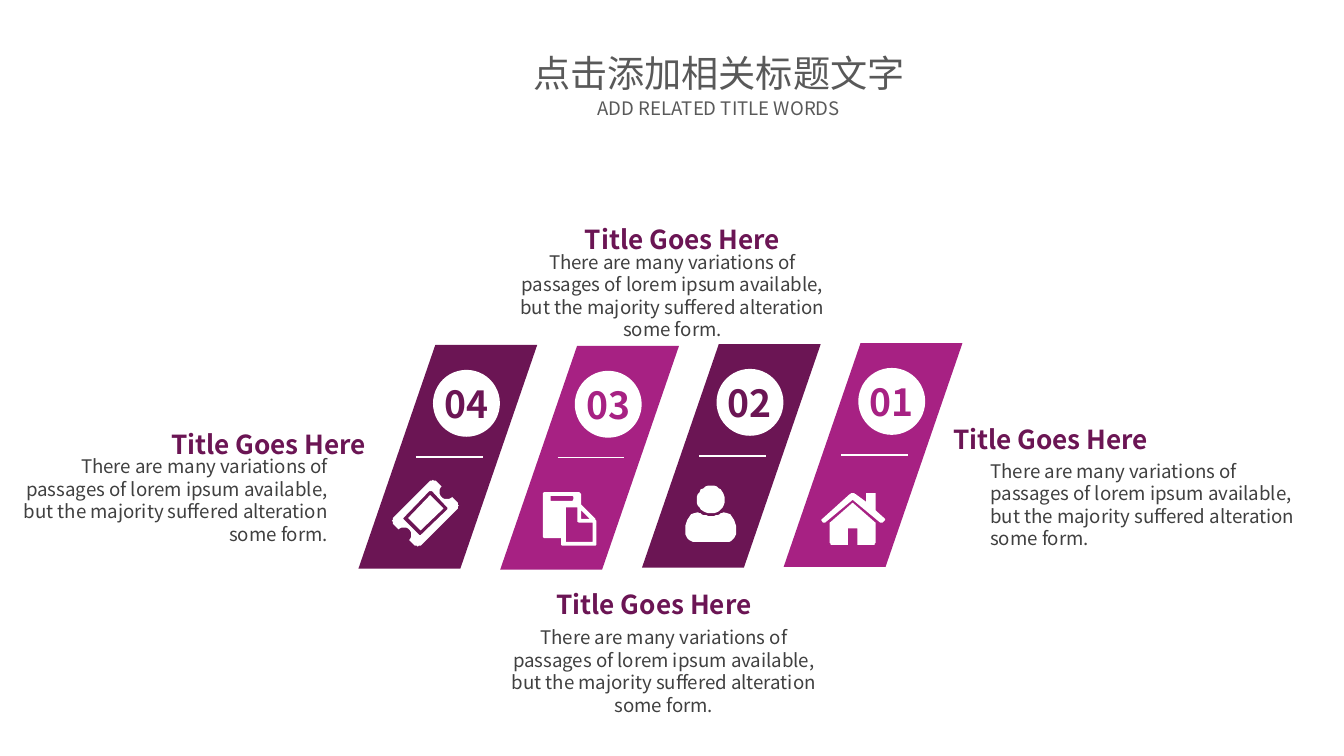
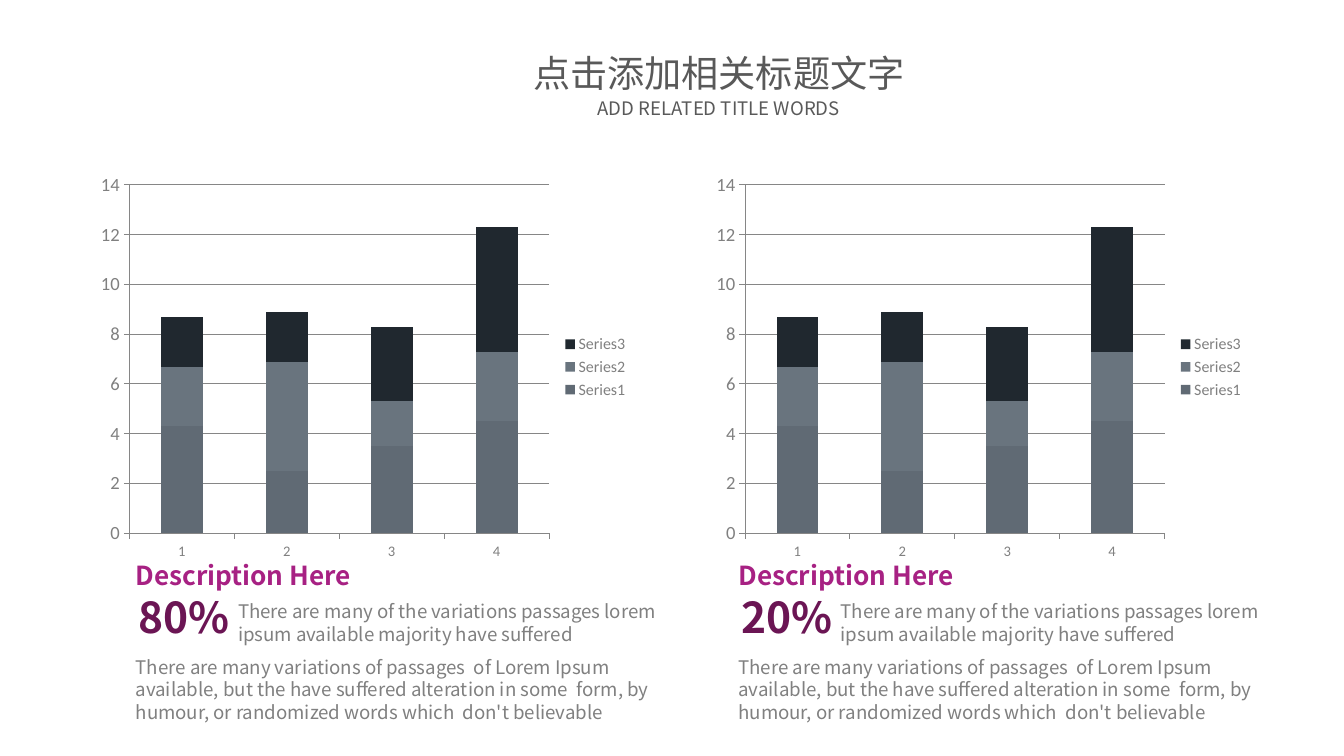
from dataclasses import dataclass

from lxml import etree
from pptx import Presentation
from pptx.chart.data import CategoryChartData
from pptx.dml.color import RGBColor
from pptx.enum.chart import XL_CHART_TYPE, XL_LEGEND_POSITION, XL_TICK_MARK
from pptx.enum.shapes import MSO_CONNECTOR, MSO_SHAPE
from pptx.enum.text import MSO_ANCHOR, PP_ALIGN
from pptx.oxml.ns import qn
from pptx.util import Inches, Pt

LEFT, CENTER, RIGHT = PP_ALIGN.LEFT, PP_ALIGN.CENTER, PP_ALIGN.RIGHT
TOP, MIDDLE = MSO_ANCHOR.TOP, MSO_ANCHOR.MIDDLE
ELLIPSE, SLANTED = MSO_SHAPE.OVAL, MSO_SHAPE.PARALLELOGRAM
STRAIGHT = MSO_CONNECTOR.STRAIGHT
STACKED = XL_CHART_TYPE.COLUMN_STACKED
LEGEND_RIGHT = XL_LEGEND_POSITION.RIGHT
TICK_OUT, TICK_NONE = XL_TICK_MARK.OUTSIDE, XL_TICK_MARK.NONE

CELL = Inches(0.1)
COLS, ROWS = 140.6, 79.1
ICON_UNIT = Inches(0.01)
CURVE_STEPS = 8


@dataclass(frozen=True)
class Theme:
    """Colours, fonts and type sizes of the deck."""
    plum: str = "6B1554"
    magenta: str = "A72183"
    white: str = "FFFFFF"
    heading: str = "595959"
    ink: str = "404040"
    grey: str = "808080"
    rule: str = "868686"
    series: tuple = ("606A74", "69747E", "20282F")
    font: str = "Noto Sans CJK SC"
    chart_font: str = "Calibri"
    title_size: float = 28
    subtitle_size: float = 14
    label_size: float = 19.7
    body_size: float = 14.1
    number_size: float = 28.1
    percent_size: float = 32
    category_size: float = 11
    value_size: float = 14
    legend_size: float = 12
    leading: float = 1.2


T = Theme()

STYLES = {
    "title": dict(size=T.title_size, color=T.heading, align=CENTER),
    "subtitle": dict(size=T.subtitle_size, color=T.heading, align=CENTER),
    "label": dict(size=T.label_size, color=T.plum, bold=True, anchor=MIDDLE),
    "description": dict(size=T.label_size, color=T.magenta, bold=True),
    "body": dict(size=T.body_size, color=T.ink),
    "note": dict(size=T.body_size, color=T.grey),
    "number": dict(size=T.number_size, bold=True, align=CENTER, anchor=MIDDLE),
    "percent": dict(size=T.percent_size, color=T.plum, bold=True),
}

LOREM = ("There are many variations of passages of lorem ipsum available, "
         "but the majority suffered alteration some form.")
LEAD = ("There are many of the variations passages lorem ipsum available "
        "majority have suffered")
DETAIL = ("There are many variations of passages  of Lorem Ipsum available, "
          "but the have suffered alteration in some  form, by humour, or "
          "randomized words which  don't believable")

# Each outline point is (x, y) for a line or six numbers for a cubic curve.
TICKET = (
    ((31, 68), (29, 70, 25, 70, 23, 68), (18, 63), (21, 60, 21, 55, 18, 52),
     (15, 49, 10, 49, 7, 52), (2, 47), (0, 45, 0, 41, 2, 39), (39, 2),
     (42, 0, 45, 0, 47, 2), (52, 7), (49, 10, 49, 15, 52, 18),
     (55, 21, 60, 21, 63, 18), (68, 23), (70, 25, 70, 29, 68, 31)),
    ((57, 32), (58, 31, 58, 29, 57, 28), (43, 13), (42, 12, 39, 12, 38, 13),
     (13, 39), (12, 40, 12, 41, 13, 42), (28, 57), (29, 58, 30, 58, 31, 57)),
    ((54, 30), (30, 53), (17, 40), (40, 16)),
)
CLIPBOARD = (
    ((56, 53), (56, 56, 55, 56, 53, 56), (22, 56), (20, 56, 19, 56, 19, 53),
     (19, 48), (3, 48), (0, 48, 0, 47, 0, 45), (0, 3), (0, 1, 0, 0, 3, 0),
     (36, 0), (38, 0, 40, 1, 40, 3), (40, 13), (54, 27),
     (55, 28, 56, 30, 56, 32)),
    ((32, 5), (31, 4), (8, 4), (8, 9), (31, 9), (32, 7)),
    ((52, 52), (52, 32), (39, 32), (37, 32, 36, 31, 36, 30), (36, 16),
     (24, 16), (24, 52)),
    ((49, 28), (40, 19), (40, 28)),
)
PERSON = (
    ((44, 59), (10, 59), (4, 59, 0, 55, 0, 49), (0, 41, 2, 28, 13, 28),
     (14, 28, 19, 32, 27, 32), (34, 32, 39, 28, 40, 28),
     (51, 28, 53, 41, 53, 49), (53, 55, 49, 59, 44, 59)),
    ((27, 29), (19, 29, 12, 23, 12, 15), (12, 7, 19, 0, 27, 0),
     (35, 0, 41, 7, 41, 15), (41, 23, 35, 29, 27, 29)),
)
HOUSE = (
    ((64, 31), (62, 31), (33, 7), (4, 31), (2, 31), (0, 28), (30, 1),
     (31, 0, 35, 0, 36, 1), (47, 9), (47, 0), (57, 0), (57, 18), (67, 27),
     (67, 28)),
    ((57, 51), (57, 52, 56, 54, 55, 54), (38, 54), (38, 37), (28, 37),
     (28, 54), (11, 54), (10, 54, 9, 52, 9, 51), (9, 31), (33, 10), (57, 31)),
)


def flatten(outline):
    """Return the outline as straight points, with its curves sampled."""
    points = [outline[0]]
    for step in outline[1:]:
        if len(step) == 2:
            points.append(step)
            continue
        p0, p1, p2, p3 = points[-1], step[:2], step[2:4], step[4:]
        for i in range(1, CURVE_STEPS + 1):
            t = i / CURVE_STEPS
            u = 1 - t
            points.append(tuple(
                u**3 * a + 3 * u * u * t * b + 3 * u * t * t * c + t**3 * d
                for a, b, c, d in zip(p0, p1, p2, p3)))
    return points


def grid(*lengths):
    """Convert lengths in grid cells to slide units."""
    return [round(n * CELL) for n in lengths]


def assign(target, values):
    """Set every attribute named in values on the target."""
    for name, value in values.items():
        setattr(target, name, value)


class Deck:
    """Builds slides in one style and keeps the current slide."""

    def __init__(self):
        """Start an empty presentation of the grid's size."""
        self.prs = Presentation()
        self.prs.slide_width, self.prs.slide_height = grid(COLS, ROWS)
        self.slide = None

    def new_slide(self, title, subtitle):
        """Add a slide with the shared title and subtitle."""
        self.slide = self.prs.slides.add_slide(self.prs.slide_layouts[5])
        sp = self.slide.shapes.title
        frame = dict(zip(("left", "top", "width", "height"),
                         grid(54.5, 4.8, 41.4, 5.8)))
        assign(sp, frame)
        self.set_text(sp, title, "title", inset=(1.1, 0.5))
        self.text((60.1, 9.7, 30.2, 3.4), subtitle, "subtitle", inset=(1.1, 0.5))

    def set_text(self, sp, text, style, inset=(0, 0), **changes):
        """Fill a shape with one paragraph in a named style."""
        look = {**STYLES[style], **changes}
        x, y = grid(*inset)
        tf = sp.text_frame
        assign(tf, dict(word_wrap=True, margin_left=x, margin_right=x,
                        margin_top=y, margin_bottom=y,
                        vertical_anchor=look.get("anchor", TOP)))
        p = tf.paragraphs[0]
        assign(p, dict(alignment=look.get("align", LEFT), space_before=Pt(0),
                       line_spacing=Pt(look["size"] * T.leading)))
        r = p.add_run()
        r.text = text
        self.font(r.font, look["size"], look["color"], T.font,
                  look.get("bold", False))
        etree.SubElement(r.font._element, qn("a:ea"), typeface=T.font)

    def font(self, font, size, color, name, bold=False):
        """Format a font object."""
        assign(font, dict(size=Pt(size), bold=bold, name=name))
        font.color.rgb = RGBColor.from_string(color)

    def text(self, box, text, style, **changes):
        """Add a text box."""
        self.set_text(self.slide.shapes.add_textbox(*grid(*box)), text, style,
                      **changes)

    def paint(self, sp, color):
        """Give a shape a plain fill without outline or shadow."""
        sp.shadow.inherit = False
        sp.fill.solid()
        sp.fill.fore_color.rgb = RGBColor.from_string(color)
        sp.line.fill.background()

    def shape(self, kind, box, color):
        """Add a preset shape."""
        sp = self.slide.shapes.add_shape(kind, *grid(*box))
        self.paint(sp, color)
        return sp

    def rule(self, x, y, width):
        """Add a thin white horizontal line."""
        cx = self.slide.shapes.add_connector(STRAIGHT, *grid(x, y, x + width, y))
        cx.line.width = Pt(1)
        cx.line.color.rgb = RGBColor.from_string(T.white)
        etree.SubElement(cx._element.spPr, qn("a:effectLst"))

    def icon(self, x, y, outlines):
        """Add a white icon made of several outlines."""
        first, *others = [flatten(outline) for outline in outlines]
        fb = self.slide.shapes.build_freeform(*first[0], scale=ICON_UNIT)
        fb.add_line_segments(first[1:], close=True)
        for points in others:
            fb.move_to(*points[0])
            fb.add_line_segments(points[1:], close=True)
        self.paint(fb.convert_to_shape(*grid(x, y)), T.white)

    def panel(self, x, y, number, color, icon, icon_at):
        """Add a slanted panel with its number, rule and icon."""
        sp = self.shape(SLANTED, (x, y, 18.7, 23.4), color)
        sp.adjustments[0] = 0.43
        self.rule(x + 6, y + 11.7, 7)
        sp = self.shape(ELLIPSE, (x + 7.8, y + 2.6, 7, 7), T.white)
        self.set_text(sp, number, "number", color=color)
        sp.text_frame.word_wrap = False
        self.icon(*icon_at, icon)

    def stacked_chart(self, box, categories, values):
        """Add a stacked column chart with a legend on the right."""
        data = CategoryChartData()
        data.categories = categories
        for i, row in enumerate(values, 1):
            data.add_series(f"Series{i}", row)
        chart = self.slide.shapes.add_chart(STACKED, *grid(*box), data).chart
        assign(chart, dict(has_title=False, has_legend=True))
        assign(chart.legend, dict(position=LEGEND_RIGHT, include_in_layout=False))
        self.font(chart.legend.font, T.legend_size, T.grey, T.chart_font)
        plot = chart.plots[0]
        assign(plot, dict(gap_width=150, overlap=100, vary_by_categories=False))
        for series, color in zip(plot.series, T.series):
            series.format.fill.solid()
            series.format.fill.fore_color.rgb = RGBColor.from_string(color)
        assign(chart.value_axis, dict(minimum_scale=0, maximum_scale=14,
                                      major_unit=2, has_major_gridlines=True))
        lines = [chart.value_axis.major_gridlines.format.line]
        for axis, size in ((chart.category_axis, T.category_size),
                           (chart.value_axis, T.value_size)):
            assign(axis, dict(major_tick_mark=TICK_OUT, minor_tick_mark=TICK_NONE))
            self.font(axis.tick_labels.font, size, T.grey, T.chart_font)
            lines.append(axis.format.line)
        for line in lines:
            line.width = Pt(0.75)
            line.color.rgb = RGBColor.from_string(T.rule)


def panels_slide(deck):
    """Build the slide of four slanted panels."""
    captions = (
        ((17.9, 44.8), LEFT, (1.8, 47.6), RIGHT),
        ((57.2, 61.6), RIGHT, (53.2, 65.5), CENTER),
        ((61.2, 23.4), LEFT, (54.1, 26.2), CENTER),
        ((98.7, 44.3), RIGHT, (103.6, 48.1), LEFT),
    )
    for label_at, label_align, body_at, body_align in captions:
        deck.text((*label_at, 21.4, 3.3), "Title Goes Here", "label",
                  align=label_align)
        deck.text((*body_at, 32.5, 9.5), LOREM, "body", align=body_align)
    panels = (
        (36.1, "04", T.plum, TICKET, (41, 50.2)),
        (36.2, "03", T.magenta, CLIPBOARD, (56.8, 51.5)),
        (36, "02", T.plum, PERSON, (71.7, 50.8)),
        (35.9, "01", T.magenta, HOUSE, (85.9, 51.6)),
    )
    for i, (y, *rest) in enumerate(panels):
        deck.panel(37.5 + 14.83 * i, y, *rest)


def charts_slide(deck):
    """Build the slide of two charts with descriptions."""
    values = ((4.3, 2.5, 3.5, 4.5), (2.4, 4.4, 1.8, 2.8), (2, 2, 3, 5))
    for i, percent in enumerate(("80%", "20%")):
        deck.stacked_chart((9.4 + 64.4 * i, 17.3, 57.4, 42.2),
                           ("1", "2", "3", "4"), values)
        x = 14.2 + 63.05 * i
        deck.text((x + 10.7, 62.8, 46.3, 4.7), LEAD, "note")
        deck.text((x, 58.5, 23.7, 3.3), "Description Here", "description")
        deck.text((x + 0.3, 61.8, 9.9, 5.4), percent, "percent")
        deck.text((x, 68.6, 53.9, 7.1), DETAIL, "note")


def main():
    """Build and save the deck."""
    deck = Deck()
    for build in (panels_slide, charts_slide):
        deck.new_slide("点击添加相关标题文字", "ADD RELATED TITLE WORDS")
        build(deck)
    deck.prs.save("out.pptx")


if __name__ == "__main__":
    main()
